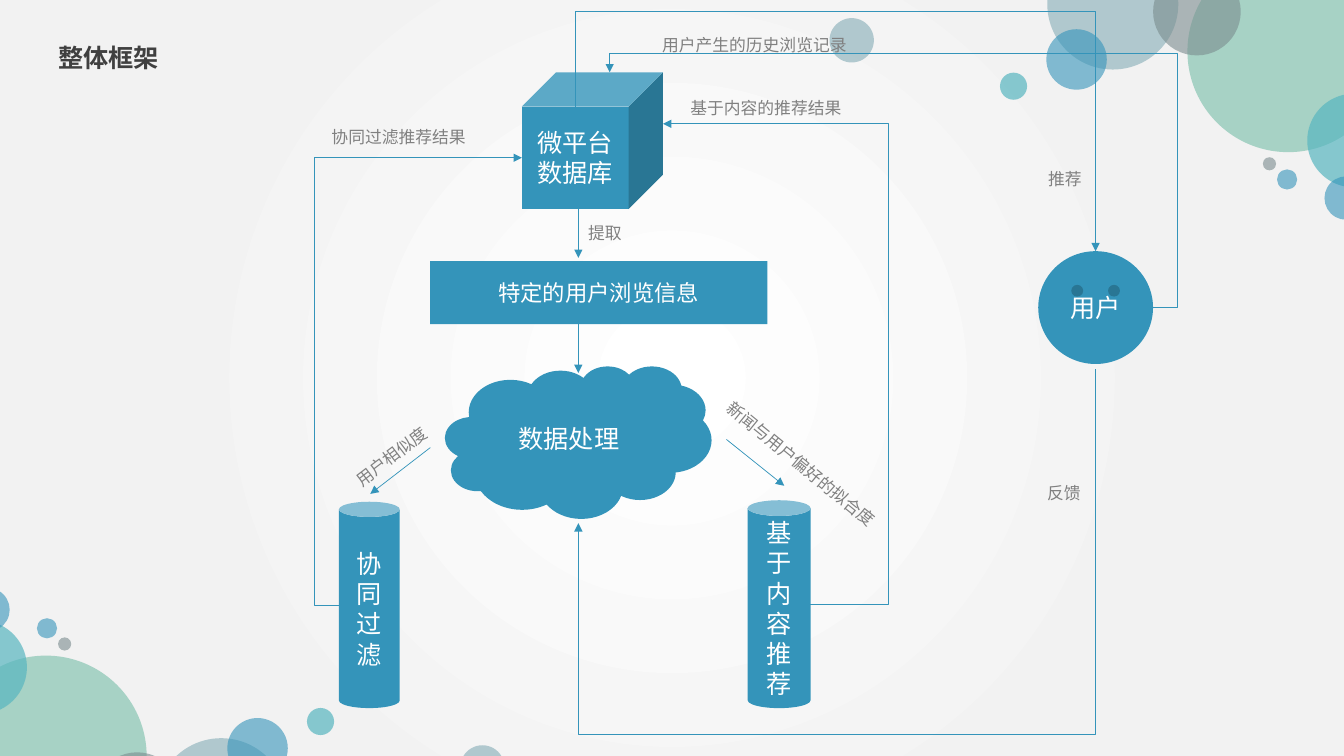
from lxml import etree
from pptx import Presentation
from pptx import util as u
from pptx.dml.color import RGBColor
from pptx.enum import shapes, text
from pptx.oxml import ns

THEME = {
    "font": "Karla", "blue": "3494BA", "teal": "58B6C0", "green": "75BDA7",
    "mist": "84ACB6", "slate": "7A8C8E", "white": "FFFFFF", "paper": "F2F2F2",
    "title": "404040", "label": "808080",
    "title_size": 18, "node_size": 18, "bar_size": 16, "label_size": 12,
    "line_width": 0.5, "spacing": 1.3,
}

# ---- Content (lengths in points) ----
SLIDE_SIZE = (960, 540)
TITLE = ("整体框架", (34.6, 20.2, 267.8, 31.7))

# Bubbles: centre x, centre y, diameter, colour, opacity in percent
BUBBLES = [
    (794.9, 2.9, 93.6, "mist", 60), (920.2, 36.7, 144, "green", 60),
    (855, 8.3, 62.6, "slate", 60), (769, 42.5, 43.2, "blue", 60),
    (967.3, 100.4, 67, "teal", 70), (724, 61.6, 19.4, "teal", 70),
    (961.6, 141.5, 31, "blue", 60), (919.4, 128.2, 14.4, "blue", 60),
    (906.8, 117, 9.4, "slate", 60), (608.4, 28.8, 31.7, "mist", 60),
]
BUBBLE_TURN = (953, 577)  # a half turn maps (x, y) to (953 - x, 577 - y)

# Nodes: text, preset, box, type size
NODES = [
    ("数据处理", "CLOUD", (317.9, 261.4, 190.3, 108.9), "node_size"),
    ("协同过滤", "CAN", (242.1, 358.4, 43.4, 147.4), "node_size"),
    ("基于内容推荐", "CAN", (534.1, 357.3, 44.9, 148.5), "node_size"),
    ("特定的用户浏览信息", "RECTANGLE", (307.2, 186.5, 241, 45), "bar_size"),
    ("微平台数据库", "CUBE", (372.8, 51.7, 100.7, 97.6), "node_size"),
    ("用户", "SMILEY_FACE", (741.6, 179.4, 82, 80.6), "node_size"),
]

# Arrows: corner points from start to head
ARROWS = [
    [(413.1, 149.2), (413.1, 184.2)],
    [(413.1, 231.2), (413.1, 266.4)],
    [(518.9, 313.9), (560.2, 347)],
    [(307.4, 319.7), (264.5, 352.8)],
    [(242.1, 432.3), (224.6, 432.3), (224.6, 112.7), (372.8, 112.7)],
    [(578.9, 431.6), (634.7, 431.6), (634.7, 88.5), (473.6, 88.5)],
    [(411.1, 76.2), (411.1, 8.2), (782.6, 8.2), (782.6, 179.4)],
    [(782.6, 263.7), (782.6, 524.5), (413.1, 524.5), (413.1, 373.7)],
    [(823.7, 219.6), (841.2, 219.6), (841.2, 38.2), (435.5, 38.2), (435.5, 51.7)],
]

# Labels: text, left, top, width, rotation
LABELS = [
    ("提取", 413.1, 151.2, 38.9, 0),
    ("用户相似度", 241.2, 311, 74.9, 322.6),
    ("新闻与用户偏好的拟合度", 500.4, 317.5, 148.3, 39.2),
    ("协同过滤推荐结果", 229.7, 82.8, 111.6, 0),
    ("基于内容的推荐结果", 486, 61.9, 123.8, 0),
    ("推荐", 741.6, 113, 38.9, 0),
    ("反馈", 740.9, 337, 38.9, 0),
    ("用户产生的历史浏览记录", 465.8, 17.3, 147.6, 0),
]
LABEL_HEIGHT = 25.9


def points(values):
    return [u.Pt(value) for value in values]


def color(name):
    return RGBColor.from_string(THEME[name])


def style_paragraph(paragraph, size, color_name):
    paragraph.font.name = THEME["font"]
    paragraph.font.size = u.Pt(THEME[size])
    paragraph.font.color.rgb = color(color_name)


def add_filled(slide, preset, box, fill):
    shape = slide.shapes.add_shape(preset, *points(box))
    shape.shadow.inherit = False
    shape.fill.solid()
    shape.fill.fore_color.rgb = color(fill)
    shape.line.fill.background()
    return shape


def add_bubble(slide, x, y, diameter, fill, opacity):
    box = (x - diameter / 2, y - diameter / 2, diameter, diameter)
    bubble = add_filled(slide, shapes.MSO_SHAPE.OVAL, box, fill)
    rgb = bubble._element.spPr.find(".//" + ns.qn("a:srgbClr"))
    etree.SubElement(rgb, ns.qn("a:alpha"), val=str(opacity * 1000))


def add_node(slide, caption, preset, box, size):
    node = add_filled(slide, getattr(shapes.MSO_SHAPE, preset), box, "blue")
    node.text_frame.text = caption
    node.text_frame.word_wrap = True
    node.text_frame.vertical_anchor = text.MSO_ANCHOR.MIDDLE
    paragraph = node.text_frame.paragraphs[0]
    paragraph.alignment = text.PP_ALIGN.CENTER
    style_paragraph(paragraph, size, "white")


def add_text(slide, caption, box, size, color_name):
    box_shape = slide.shapes.add_textbox(*points(box))
    box_shape.text_frame.text = caption
    paragraph = box_shape.text_frame.paragraphs[0]
    paragraph.line_spacing = THEME["spacing"]
    style_paragraph(paragraph, size, color_name)
    return box_shape


def bend(connector, corners):
    """Shape an elbow connector so that it passes through the corners."""
    (x1, y1), (x2, y2) = corners[0], corners[-1]
    dx, dy = x2 - x1, y2 - y1
    properties = connector._element.spPr
    if corners[1][0] == x1:  # leaves vertically: a quarter turn about the centre
        ratios = [(corners[1][1] - y1) / dy]
        width, height = abs(dy), abs(dx)
        connector.left, connector.top, connector.width, connector.height = points(
            ((x1 + x2 - width) / 2, (y1 + y2 - height) / 2, width, height))
        frame = properties.find(ns.qn("a:xfrm"))
        frame.set("rot", str((90 if dx < 0 else 270) * 60000))
        frame.set("flipH", str(int((dx < 0) == (dy < 0))))
        frame.set("flipV", "0")
    else:
        ratios = [(corners[1][0] - x1) / dx]
        if len(corners) == 5:
            ratios.append((corners[2][1] - y1) / dy)
    geometry = properties.find(ns.qn("a:prstGeom"))
    geometry.set("prst", f"bentConnector{len(corners) - 1}")
    guides = geometry.find(ns.qn("a:avLst"))
    for number, ratio in enumerate(ratios, 1):
        etree.SubElement(guides, ns.qn("a:gd"), name=f"adj{number}",
                         fmla=f"val {round(ratio * 100000)}")


def add_arrow(slide, corners):
    straight = len(corners) == 2
    kind = shapes.MSO_CONNECTOR.STRAIGHT if straight else shapes.MSO_CONNECTOR.ELBOW
    connector = slide.shapes.add_connector(kind, *points(corners[0] + corners[-1]))
    if not straight:
        bend(connector, corners)
    connector.line.color.rgb = color("blue")
    connector.line.width = u.Pt(THEME["line_width"])
    etree.SubElement(connector.line._get_or_add_ln(), ns.qn("a:tailEnd"), type="triangle")
    etree.SubElement(connector._element.spPr, ns.qn("a:effectLst"))


def paint_background(slide):
    slide.background.fill.gradient()
    gradient = slide._element.find(".//" + ns.qn("a:gradFill"))
    for child in list(gradient):
        gradient.remove(child)
    stops = etree.SubElement(gradient, ns.qn("a:gsLst"))
    for position, name in ((0, "white"), (67, "paper"), (100, "paper")):
        stop = etree.SubElement(stops, ns.qn("a:gs"), pos=str(position * 1000))
        etree.SubElement(stop, ns.qn("a:srgbClr"), val=THEME[name])
    circle = etree.SubElement(gradient, ns.qn("a:path"), path="circle")
    etree.SubElement(circle, ns.qn("a:fillToRect"), l="50000", t="50000", r="50000", b="50000")


def main():
    presentation = Presentation()
    presentation.slide_width, presentation.slide_height = points(SLIDE_SIZE)
    slide = presentation.slides.add_slide(presentation.slide_layouts[6])

    # Background and bubbles in two opposite corners
    paint_background(slide)
    for bubble in BUBBLES:
        add_bubble(slide, *bubble)
    for x, y, *look in BUBBLES:
        add_bubble(slide, BUBBLE_TURN[0] - x, BUBBLE_TURN[1] - y, *look)

    # Title
    title = add_text(slide, *TITLE, "title_size", "title")
    title.text_frame.word_wrap = True
    title.text_frame.paragraphs[0].space_before = u.Pt(10)
    title.text_frame.paragraphs[0].font.bold = True

    # Diagram
    for node in NODES:
        add_node(slide, *node)
    for corners in ARROWS:
        add_arrow(slide, corners)
    for caption, left, top, width, rotation in LABELS:
        label = add_text(slide, caption, (left, top, width, LABEL_HEIGHT), "label_size", "label")
        label.text_frame.word_wrap = False
        label.text_frame.auto_size = text.MSO_AUTO_SIZE.SHAPE_TO_FIT_TEXT
        label.rotation = rotation

    presentation.save("out.pptx")


if __name__ == "__main__":
    main()
